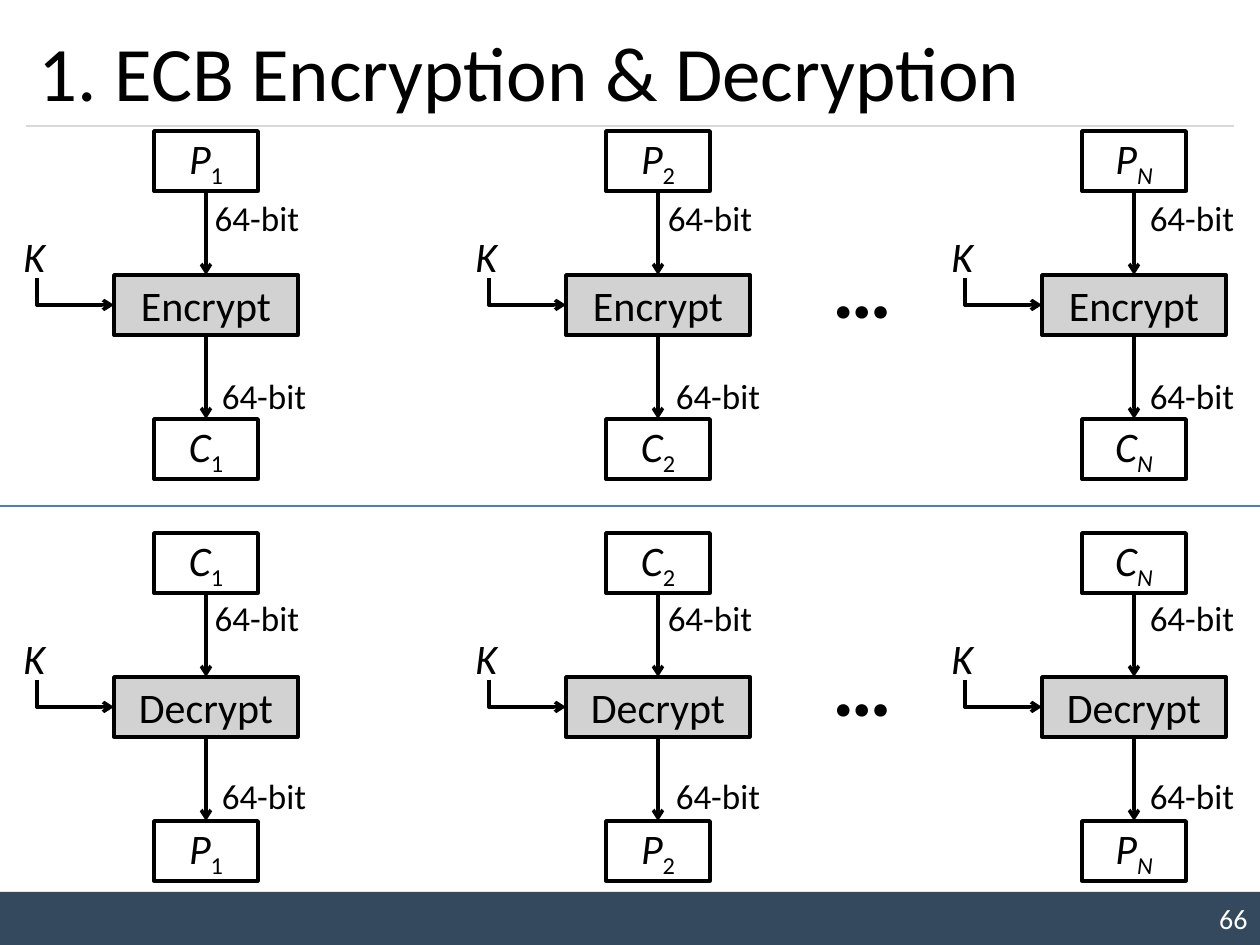
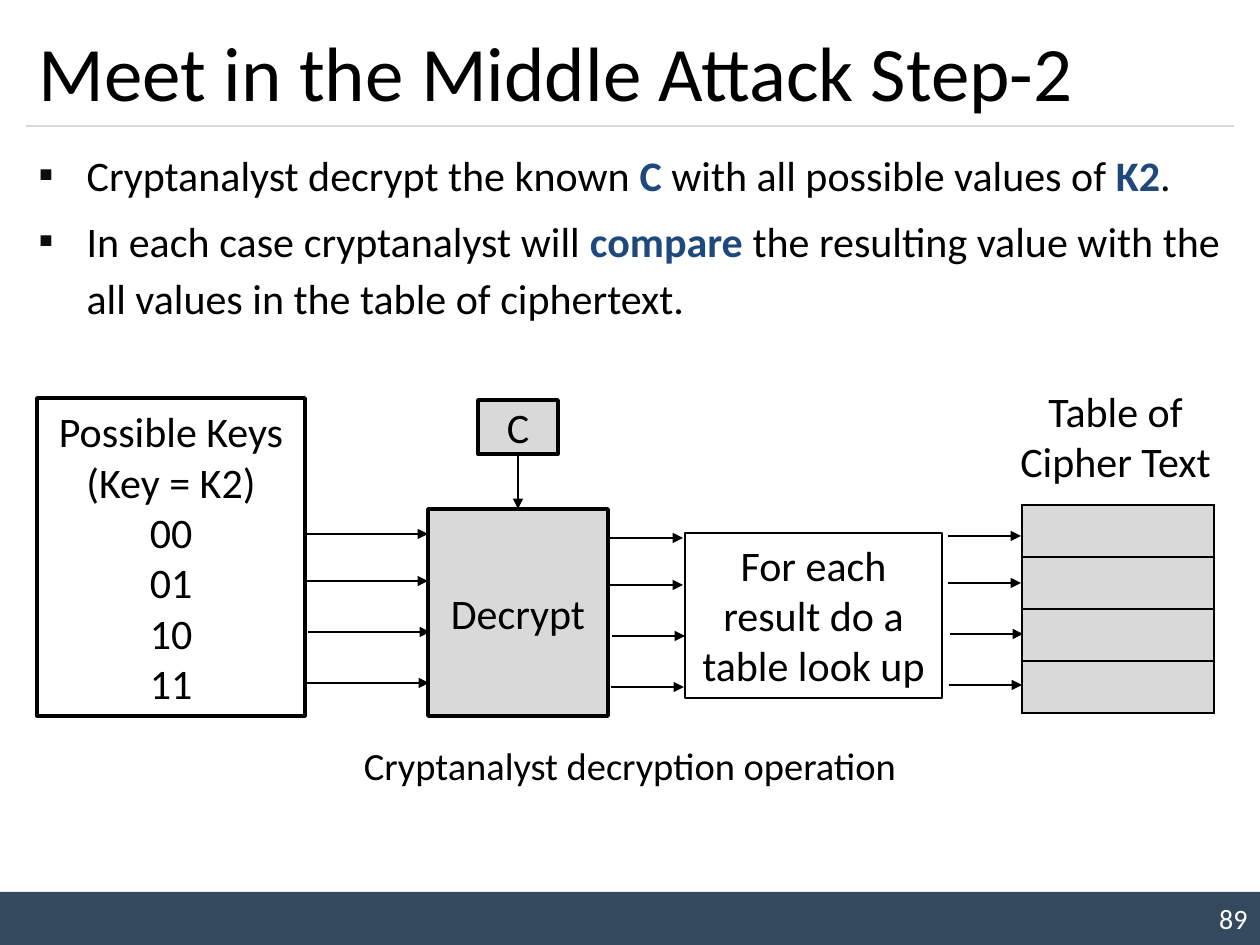
from lxml.etree import SubElement
from pptx import Presentation
from pptx.dml.color import RGBColor
from pptx.enum.shapes import MSO_CONNECTOR, MSO_SHAPE
from pptx.enum.text import MSO_ANCHOR, MSO_AUTO_SIZE, PP_ALIGN
from pptx.oxml.ns import qn
from pptx.util import Pt

SCALE = 914400 / 126
FONT = "Calibri"
HUES = {
    "ink": "000000", "paper": "FFFFFF", "band": "34495E", "rule": "D9D9D9",
    "step": "D3D2D2", "grey": "D9D9D9", "split": "4B7EBC", "key": "1F497D",
    "dot": "0D0D0D",
}

MODES = {"title": "1. ECB Encryption & Decryption", "page": "66"}
CHAINS = [
    {"names": ("P", "Encrypt", "C"), "top": 131, "tags": (190, 368), "dots": 228},
    {"names": ("C", "Decrypt", "P"), "top": 533, "tags": (590, 768), "dots": 626},
]
BLOCKS = [
    {"mid": 206, "sub": "1", "tags": (198, 205)},
    {"mid": 658, "sub": "2", "tags": (651, 659)},
    {"mid": 1134, "sub": "N", "tags": (1133, 1133)},
]
STEP = 144
SPLIT = 506

ATTACK = {"title": "Meet in the Middle Attack Step-2", "page": "89"}
MARK = {"bold": True, "hue": "key"}
POINTS = [
    ["Cryptanalyst decrypt the known ", ("C", MARK),
     " with all possible values of ", ("K2", MARK), "."],
    ["In each case cryptanalyst will ", ("compare", MARK),
     " the resulting value with the all values in the table of ciphertext."],
]
KEYS = ["Possible Keys", "(Key = K2)", "00", "01", "10", "11"]
FLOWS = [(306, 534, 122), (610, 538, 73), (948, 536, 73)]
SHIFTS = [(0, 0), (0, 47), (2, 98), (1, 149)]
ROWS = 4


def px(num):
    return round(num * SCALE)


def tint(name):
    return RGBColor.from_string(HUES[name])


def write(shape, paras, size=24, hue="ink", bold=False, slant=False,
          align=PP_ALIGN.CENTER, anchor=MSO_ANCHOR.MIDDLE):
    frame = shape.text_frame
    frame.word_wrap = True
    frame.auto_size = MSO_AUTO_SIZE.NONE
    frame.vertical_anchor = anchor
    for i, runs in enumerate([paras] if isinstance(paras, str) else paras):
        para = frame.add_paragraph() if i else frame.paragraphs[0]
        para.alignment = align
        for part in [runs] if isinstance(runs, str) else runs:
            text, look = (part, {}) if isinstance(part, str) else part
            run = para.add_run()
            run.text = text
            font = run.font
            font.name, font.size = FONT, Pt(size)
            font.bold = look.get("bold", bold)
            font.italic = look.get("slant", slant)
            font.color.rgb = tint(look.get("hue", hue))
            if "base" in look:
                run._r.get_or_add_rPr().set("baseline", str(look["base"] * 1000))
    return shape


def place(shape, *area):
    shape.left, shape.top, shape.width, shape.height = map(px, area)
    return shape


def box(slide, area, fill=None, edge="ink", weight=2):
    shape = slide.shapes.add_shape(MSO_SHAPE.RECTANGLE, *map(px, area))
    shape.shadow.inherit = False
    if fill:
        shape.fill.solid()
        shape.fill.fore_color.rgb = tint(fill)
    else:
        shape.fill.background()
    if edge:
        shape.line.color.rgb = tint(edge)
        shape.line.width = Pt(weight)
    else:
        shape.line.fill.background()
    return shape


def label(slide, area, text, anchor=MSO_ANCHOR.TOP, **look):
    return write(slide.shapes.add_textbox(*map(px, area)), text, anchor=anchor, **look)


def stroke(shape, hue, weight, head):
    shape.line.color.rgb = tint(hue)
    shape.line.width = Pt(weight)
    if head:
        SubElement(shape.line._get_or_add_ln(), qn("a:tailEnd"), type=head)


def line(slide, start, end, hue="ink", weight=1.5, head=None):
    link = slide.shapes.add_connector(MSO_CONNECTOR.STRAIGHT, *map(px, start + end))
    stroke(link, hue, weight, head)
    SubElement(link._element.spPr, qn("a:effectLst"))
    return link


def join(slide, above, below, **look):
    link = line(slide, (0, 0), (0, 0), **look)
    link.begin_connect(above, 2)
    link.end_connect(below, 0)


def elbow(slide, *spots):
    path = slide.shapes.build_freeform(*spots[0], scale=SCALE)
    path.add_line_segments(spots[1:], close=False)
    shape = path.convert_to_shape()
    shape.fill.background()
    shape.shadow.inherit = False
    stroke(shape, "ink", 2, "arrow")


def start(deck, kind, title, page):
    slide = deck.slides.add_slide(deck.slide_layouts[kind])
    write(box(slide, (0, 892, 1260, 53), "band", None), page, size=16,
          hue="paper", align=PP_ALIGN.RIGHT)
    line(slide, (26, 126), (1234, 126), "rule", 0.75)
    write(place(slide.shapes.title, 26, 15, 1207, 111), title, size=44,
          align=PP_ALIGN.LEFT)
    return slide


def chain(slide, row, col):
    mid, top = col["mid"], row["top"]
    sub = (col["sub"], {"base": -25, "slant": col["sub"] == "N"})
    last = None
    for i, name in enumerate(row["names"]):
        y = top + i * STEP
        if i == 1:
            shape = write(box(slide, (mid - 92, y, 184, 60), "step"), name)
        else:
            shape = write(box(slide, (mid - 52, y, 104, 60), "paper"),
                          [[(name, {"slant": True}), sub]])
        if last:
            join(slide, last, shape, weight=2, head="arrow")
        last = shape
    elbow(slide, (mid - 169, top + 147), (mid - 169, top + 174),
          (mid - 92, top + 174))
    label(slide, (mid - 195, top + 93, 49, 63), "K", slant=True,
          align=PP_ALIGN.LEFT)
    for x, y in zip(col["tags"], row["tags"]):
        label(slide, (x, y, 118, 55), "64-bit", size=20)


def modes(deck):
    slide = start(deck, 5, **MODES)
    for row in CHAINS:
        for col in BLOCKS:
            chain(slide, row, col)
        label(slide, (820, row["dots"], 89, 115), "…", size=48, bold=True,
              align=PP_ALIGN.LEFT)
    line(slide, (0, SPLIT), (1260, SPLIT), "split")


def bullets(shape):
    for para in shape.text_frame.paragraphs:
        para.line_spacing = 1.14
        para.space_before = Pt(4.8)
        prop = para._p.get_or_add_pPr()
        prop.set("marL", str(px(48)))
        prop.set("indent", str(px(-48)))
        SubElement(SubElement(prop, qn("a:buClr")), qn("a:srgbClr"), val=HUES["dot"])
        SubElement(prop, qn("a:buFont"), typeface=FONT)
        SubElement(prop, qn("a:buChar"), char="▪")


def grid(slide):
    table = slide.shapes.add_table(ROWS, 1, *map(px, (1022, 505, 192, 52 * ROWS))).table
    table.first_row = table.horz_banding = False
    for cell in table.iter_cells():
        prop = cell._tc.get_or_add_tcPr()
        for side in ("lnL", "lnR", "lnT", "lnB"):
            edge = SubElement(prop, qn("a:" + side), w=str(Pt(1)))
            fill = SubElement(edge, qn("a:solidFill"))
            SubElement(fill, qn("a:srgbClr"), val=HUES["ink"])
        cell.fill.solid()
        cell.fill.fore_color.rgb = tint("grey")


def attack(deck):
    slide = start(deck, 1, **ATTACK)
    body = place(slide.placeholders[1], 26, 136, 1207, 202)
    write(body, POINTS, align=PP_ALIGN.JUSTIFY, anchor=MSO_ANCHOR.TOP)
    bullets(body)
    grid(slide)
    write(box(slide, (37, 398, 268, 318), "paper"), KEYS)
    text = write(box(slide, (478, 400, 80, 54), "grey"), "C")
    work = write(box(slide, (428, 509, 180, 207), "grey"), "Decrypt")
    join(slide, text, work, head="triangle")
    write(box(slide, (685, 533, 257, 165), weight=1.5),
          "For each result do a table look up", anchor=MSO_ANCHOR.TOP)
    label(slide, (999, 379, 233, 115), "Table of Cipher Text")
    label(slide, (350, 736, 560, 59), "Cryptanalyst decryption operation", size=22)
    for x, y, size in FLOWS:
        for dx, dy in SHIFTS:
            line(slide, (x + dx, y + dy), (x + dx + size, y + dy), head="triangle")


def main():
    deck = Presentation()
    deck.slide_width, deck.slide_height = px(1260), px(945)
    modes(deck)
    attack(deck)
    deck.save("out.pptx")


if __name__ == "__main__":
    main()
